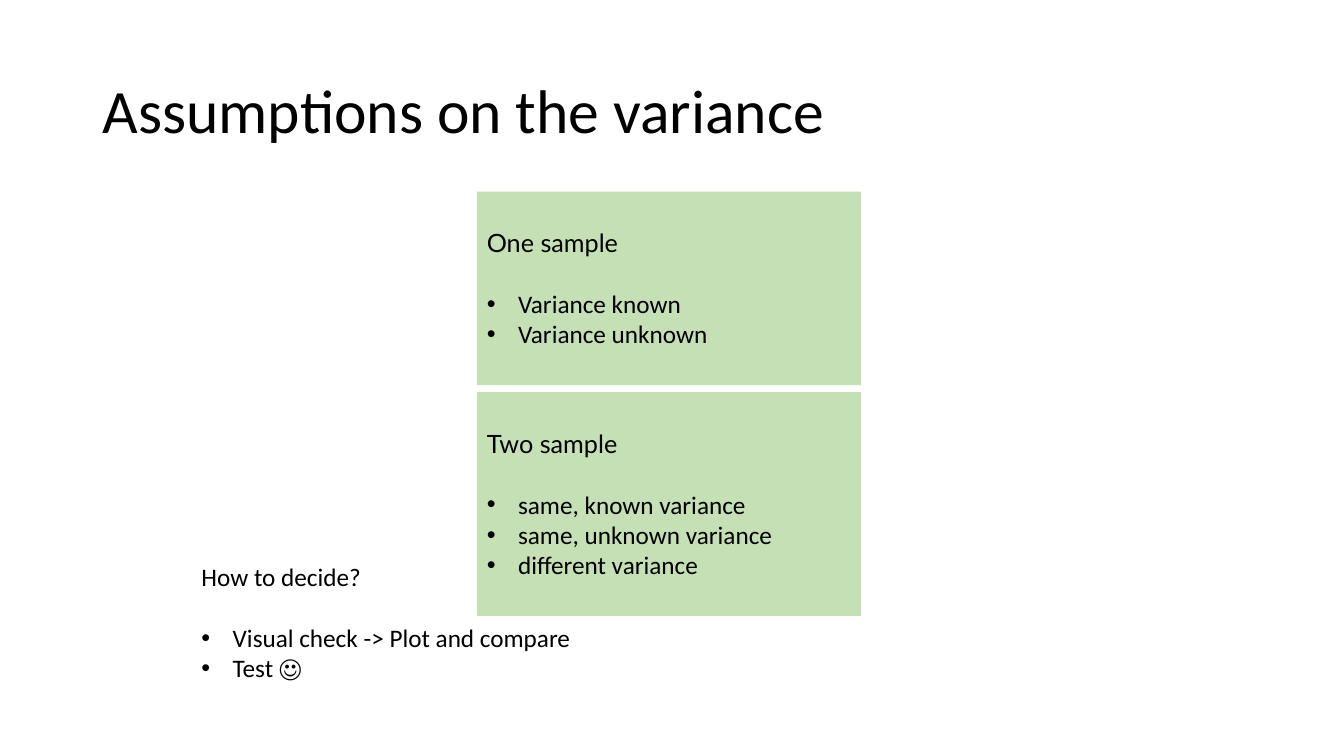
import pptx
import pptx.util
import pptx.dml.color
import pptx.enum.shapes
import pptx.enum.text
from lxml import etree

Inches, Pt = pptx.util.Inches, pptx.util.Pt

TITLE = "Assumptions on the variance"
# top, height, heading, bullets
SAMPLE_BOXES = [
    (1.9, 1.92, "One sample", ["Variance known", "Variance unknown"]),
    (3.89, 2.22, "Two sample",
     ["same, known variance", "same, unknown variance", "different variance"]),
]
DECISION = ("How to decide?", ["Visual check -> Plot and compare", "Test ☺"])
BOX_LEFT, BOX_WIDTH = 4.73, 3.81
BOX_FILL, TEXT_COLOR = "C5E0B4", "000000"
LINE = 22  # height of one text line in points
HANG = 0.31


def rgb(value):
    return pptx.dml.color.RGBColor.from_string(value)


def style(p, size, font="Calibri"):
    p.alignment = pptx.enum.text.PP_ALIGN.LEFT
    for r in p.runs:
        r.font.size = Pt(size)
        r.font.name = font
        r.font.color.rgb = rgb(TEXT_COLOR)


def indent(p, left, hanging=0):
    """Set the left margin and, with a hanging indent, a bullet."""
    pPr = p._p.get_or_add_pPr()
    pPr.set("marL", str(Inches(left + hanging)))
    pPr.set("indent", str(-Inches(hanging)))
    if hanging:
        ns = pptx.oxml.ns.qn
        etree.SubElement(pPr, ns("a:buFont")).set("typeface", "Arial")
        etree.SubElement(pPr, ns("a:buChar")).set("char", "•")


def fill_list(tf, heading, bullets, font="Calibri", left=0):
    tf.word_wrap = True
    tf.vertical_anchor = pptx.enum.text.MSO_ANCHOR.TOP
    p = tf.paragraphs[0]
    p.text = heading
    style(p, 18, font)
    p.space_after = Pt(LINE)
    indent(p, left)
    for bullet in bullets:
        p = tf.add_paragraph()
        p.text = bullet
        style(p, 18)
        indent(p, left, HANG)


prs = pptx.Presentation()
prs.slide_width, prs.slide_height = Inches(13.33), Inches(7.5)
s = prs.slides.add_slide(prs.slide_layouts[6])

for top, height, heading, bullets in SAMPLE_BOXES:
    sp = s.shapes.add_shape(
        pptx.enum.shapes.MSO_SHAPE.RECTANGLE,
        Inches(BOX_LEFT), Inches(top), Inches(BOX_WIDTH), Inches(height))
    sp.shadow.inherit = False
    sp.fill.solid()
    sp.fill.fore_color.rgb = rgb(BOX_FILL)
    sp.line.fill.background()
    sp.text_frame.margin_top = Inches(0.05) + Pt(LINE)
    fill_list(sp.text_frame, heading, bullets, font="Lato")

tf = s.shapes.add_textbox(
    Inches(0.92), Inches(0.4), Inches(11.5), Inches(1.45)).text_frame
tf.word_wrap = True
tf.vertical_anchor = pptx.enum.text.MSO_ANCHOR.MIDDLE
tf.text = TITLE
tf.paragraphs[0].line_spacing = 0.9
style(tf.paragraphs[0], 44)

tf = s.shapes.add_textbox(
    Inches(1.4), Inches(5.52), Inches(6.67), Inches(1.31)).text_frame
fill_list(tf, *DECISION, left=0.5)

prs.save("out.pptx")
